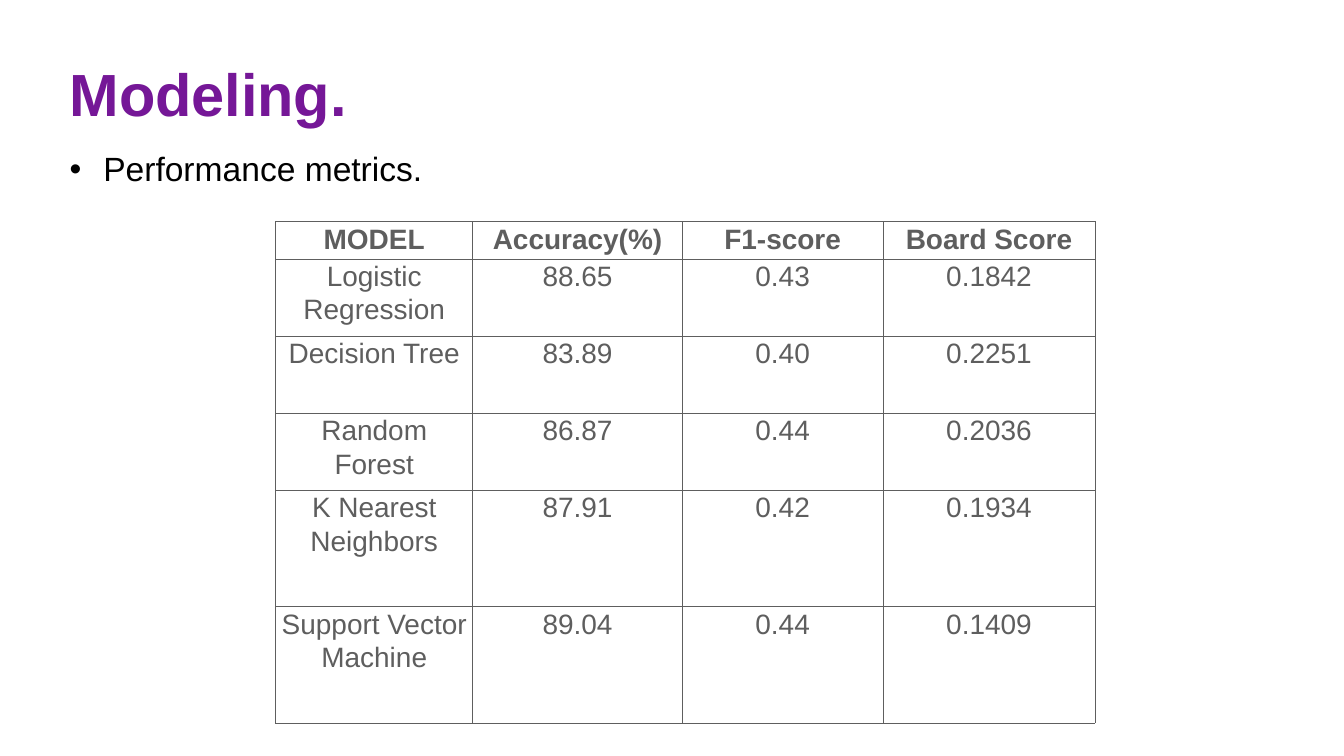
from dataclasses import dataclass

from lxml import etree
from pptx import Presentation
from pptx.dml.color import RGBColor
from pptx.enum import text
from pptx.oxml import ns
from pptx.util import Inches, Pt


@dataclass(frozen=True)
class Theme:
    """Colours, font and type sizes of the deck."""
    font: str = "Arial"
    heading: str = "751797"
    body: str = "000000"
    table: str = "5E5E5E"
    heading_size: int = 85
    body_size: int = 48
    table_size: int = 40
    border: int = 1


THEME = Theme()
METRICS = [
    ("MODEL", "Accuracy(%)", "F1-score", "Board Score"),
    ("Logistic Regression", "88.65", "0.43", "0.1842"),
    ("Decision Tree", "83.89", "0.40", "0.2251"),
    ("Random Forest", "86.87", "0.44", "0.2036"),
    ("K Nearest Neighbors", "87.91", "0.42", "0.1934"),
    ("Support Vector Machine", "89.04", "0.44", "0.1409"),
]
COLUMN_WIDTHS = [3.91, 4.16, 3.98, 4.21]
ROW_HEIGHTS = [0.74, 1.53, 1.53, 1.53, 2.31, 2.31]


def write(frame, content, *, size, color, bold=False, align=text.PP_ALIGN.LEFT, spacing=1.0):
    """Write one formatted paragraph into a text frame and return it."""
    para = frame.paragraphs[0]
    para.alignment = align
    para.line_spacing = spacing
    span = para.add_run()
    span.text = content
    span.font.name = THEME.font
    span.font.size = Pt(size)
    span.font.bold = bold
    span.font.color.rgb = RGBColor.from_string(color)
    return para


def set_frame(frame, inset, anchor):
    """Give a text frame wrapping, equal insets and an anchor."""
    frame.word_wrap = True
    frame.auto_size = text.MSO_AUTO_SIZE.NONE
    frame.vertical_anchor = anchor
    frame.margin_left = frame.margin_right = Inches(inset)
    frame.margin_top = frame.margin_bottom = Inches(inset)


def add_bullet(para, indent):
    """Turn a paragraph into a bulleted one with a hanging indent."""
    properties = para._p.get_or_add_pPr()
    properties.set("marL", str(Inches(indent)))
    properties.set("indent", str(-Inches(indent)))
    color = etree.SubElement(properties, ns.qn("a:buClr"))
    etree.SubElement(color, ns.qn("a:srgbClr"), val=THEME.body)
    etree.SubElement(properties, ns.qn("a:buFont"), typeface=THEME.font)
    etree.SubElement(properties, ns.qn("a:buChar"), char="•")


def add_borders(cell):
    """Draw a thin line on all four sides of a table cell."""
    properties = cell._tc.get_or_add_tcPr()
    for index, side in enumerate(("lnL", "lnR", "lnT", "lnB")):
        line = etree.Element(ns.qn(f"a:{side}"), w=str(Pt(THEME.border)))
        fill = etree.SubElement(line, ns.qn("a:solidFill"))
        etree.SubElement(fill, ns.qn("a:srgbClr"), val=THEME.table)
        properties.insert(index, line)


def place_title(page, content, left, top, width, height):
    """Place and format the title placeholder."""
    title = page.shapes.title
    title.left, title.top = Inches(left), Inches(top)
    title.width, title.height = Inches(width), Inches(height)
    set_frame(title.text_frame, 0.06, text.MSO_ANCHOR.MIDDLE)
    write(title.text_frame, content, size=THEME.heading_size, color=THEME.heading,
          bold=True, spacing=0.8)


def place_body(page, content, left, top, width, height):
    """Place the bulleted body text."""
    box = page.shapes.add_textbox(Inches(left), Inches(top), Inches(width), Inches(height))
    set_frame(box.text_frame, 0.06, text.MSO_ANCHOR.TOP)
    para = write(box.text_frame, content, size=THEME.body_size, color=THEME.body, spacing=0.9)
    add_bullet(para, 0.67)


def place_metrics(page, rows, left, top, widths, heights):
    """Place the table of model scores."""
    table = page.shapes.add_table(len(rows), len(widths), Inches(left), Inches(top),
                                  Inches(sum(widths)), Inches(sum(heights))).table
    table.horz_banding = False
    for column, width in zip(table.columns, widths):
        column.width = Inches(width)
    for index, (row, height, values) in enumerate(zip(table.rows, heights, rows)):
        row.height = Inches(height)
        for cell, value in zip(row.cells, values):
            cell.fill.background()
            cell.margin_left = cell.margin_right = Inches(0.07)
            cell.margin_top = cell.margin_bottom = 0
            cell.vertical_anchor = text.MSO_ANCHOR.TOP
            add_borders(cell)
            write(cell.text_frame, value, size=THEME.table_size, color=THEME.table,
                  bold=index == 0, align=text.PP_ALIGN.CENTER, spacing=1.07)


def main():
    """Build and save the deck."""
    deck = Presentation()
    deck.slide_width, deck.slide_height = Inches(26.67), Inches(15)
    page = deck.slides.add_slide(deck.slide_layouts[5])
    place_title(page, "Modeling.", 1.32, 1.18, 24.03, 1.57)
    place_body(page, "Performance metrics.", 1.32, 2.97, 24.03, 10.71)
    place_metrics(page, METRICS, 5.47, 4.4, COLUMN_WIDTHS, ROW_HEIGHTS)
    deck.save("out.pptx")


if __name__ == "__main__":
    main()
